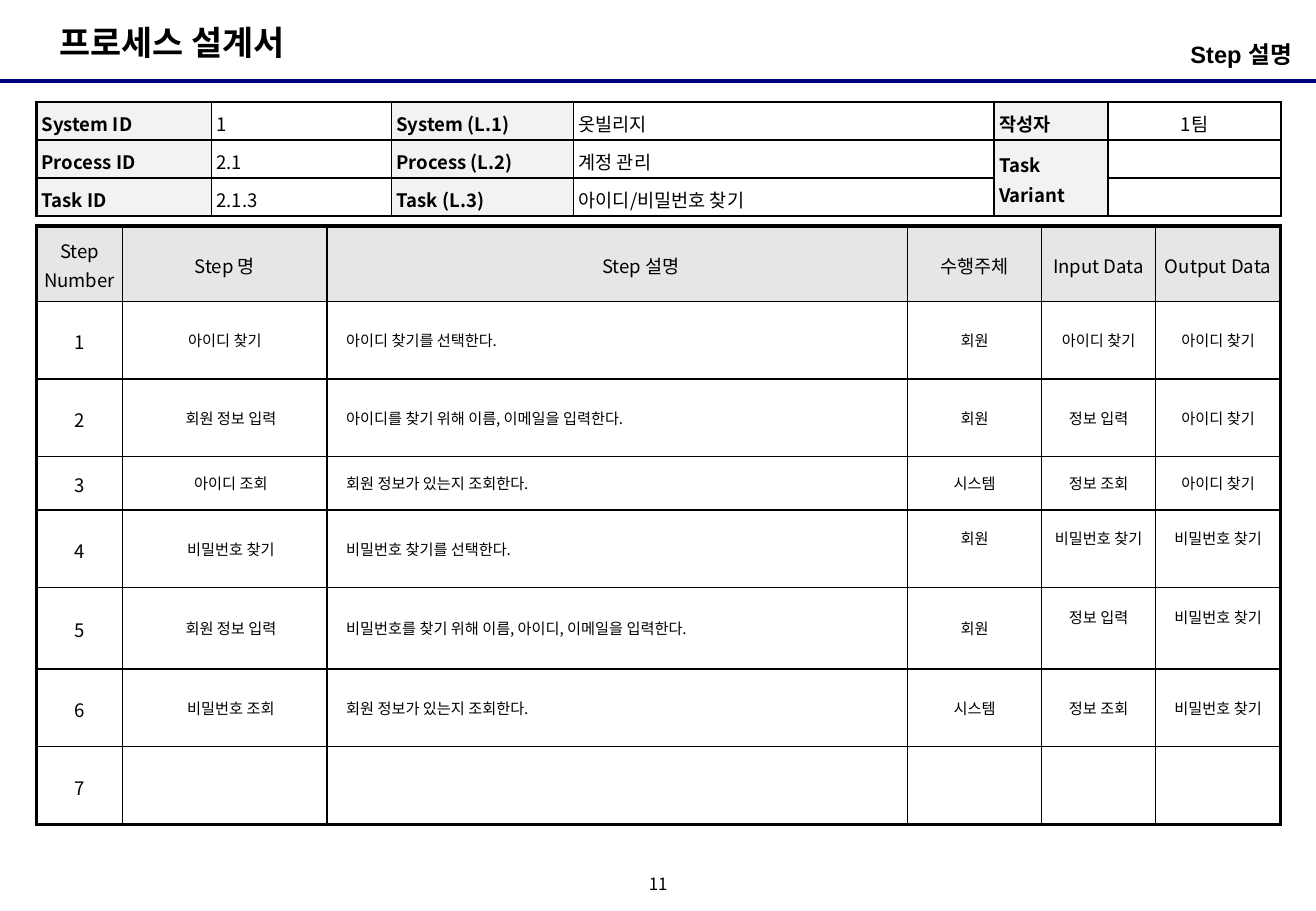
import pptx
import pptx.dml.color
import pptx.enum.shapes
import pptx.enum.text
import pptx.oxml
import pptx.oxml.ns
import pptx.util
from dataclasses import dataclass
from lxml import etree

ALIGN = pptx.enum.text.PP_ALIGN
ANCHOR = pptx.enum.text.MSO_ANCHOR
Pt = pptx.util.Pt


@dataclass(frozen=True)
class Theme:
    ink: str = "000000"
    rule: str = "000080"
    label_fill: str = "F2F2F2"
    head_fill: str = "E6E6E6"
    heading_font: str = "Arial"
    body_font: str = "Noto Sans CJK KR"
    title: float = 20
    subtitle: float = 14
    label: float = 11
    step: float = 9
    page: float = 10
    thin: float = 1
    medium: float = 1.5
    thick: float = 2.25


class Sheet:
    """Draws on one slide; positions are columns and rows of a 100 by 100 grid."""

    def __init__(self, prs, theme):
        self.theme = theme
        self.col = prs.slide_width / 100
        self.row = prs.slide_height / 100
        self.slide = prs.slides.add_slide(prs.slide_layouts[6])

    def x(self, cols):
        return round(cols * self.col)

    def y(self, rows):
        return round(rows * self.row)

    def format(self, tf, size, font=None, bold=False, align=ALIGN.LEFT,
               spacing=1.0, indent=0):
        for p in tf.paragraphs:
            p.alignment = align
            p.line_spacing = spacing
            if indent:
                p._p.get_or_add_pPr().set("marL", str(self.x(indent)))
            for r in p.runs:
                r.font.size = Pt(size)
                r.font.bold = bold
                r.font.name = font or self.theme.body_font
                r.font.color.rgb = pptx.dml.color.RGBColor.from_string(self.theme.ink)
                ea = etree.SubElement(r._r.get_or_add_rPr(), pptx.oxml.ns.qn("a:ea"))
                ea.set("typeface", self.theme.body_font)
            if not p.runs:
                p._p.get_or_add_endParaRPr().set("sz", str(round(size * 100)))

    def text(self, text, left, top, width, height, size, margins=(0, 0, 0, 0),
             anchor=ANCHOR.TOP, **style):
        sp = self.slide.shapes.add_textbox(
            self.x(left), self.y(top), self.x(width), self.y(height))
        tf = sp.text_frame
        tf.word_wrap = True
        tf.vertical_anchor = anchor
        (tf.margin_left, tf.margin_top,
         tf.margin_right, tf.margin_bottom) = map(Pt, margins)
        tf.text = text
        self.format(tf, size, **style)

    def rule(self, top):
        line = self.slide.shapes.add_connector(
            pptx.enum.shapes.MSO_CONNECTOR.STRAIGHT, 0, self.y(top), self.x(100), self.y(top))
        line.line.color.rgb = pptx.dml.color.RGBColor.from_string(self.theme.rule)
        line.line.width = Pt(self.theme.thick)
        etree.SubElement(line._element.spPr, pptx.oxml.ns.qn("a:effectLst"))

    def table(self, left, top, widths, heights, outer):
        """Add an empty table with thin inner lines and a frame of the given width."""
        frame = self.slide.shapes.add_table(
            len(heights), len(widths), self.x(left), self.y(top),
            self.x(sum(widths)), self.y(sum(heights)))
        table = frame.table
        table.first_row = table.horz_banding = False
        for column, width in zip(table.columns, widths):
            column.width = self.x(width)
        for row, height in zip(table.rows, heights):
            row.height = self.y(height)
        last_row, last_col = len(heights) - 1, len(widths) - 1
        for i in range(last_row + 1):
            for j in range(last_col + 1):
                edges = {"L": j == 0, "R": j == last_col, "T": i == 0, "B": i == last_row}
                for side, is_outer in edges.items():
                    self.border(table.cell(i, j), side, outer if is_outer else self.theme.thin)
        return table

    def border(self, cell, side, width):
        tcPr = cell._tc.get_or_add_tcPr()
        tag = pptx.oxml.ns.qn(f"a:ln{side}")
        ln = tcPr.find(tag)
        if ln is None:
            ln = etree.SubElement(tcPr, tag)
            fill = etree.SubElement(ln, pptx.oxml.ns.qn("a:solidFill"))
            etree.SubElement(fill, pptx.oxml.ns.qn("a:srgbClr")).set("val", self.theme.ink)
        ln.set("w", str(Pt(width)))

    def cell(self, cell, text, size, fill=None, margins=(3, 3, 3, 3),
             anchor=ANCHOR.MIDDLE, **style):
        (cell.margin_left, cell.margin_top,
         cell.margin_right, cell.margin_bottom) = map(Pt, margins)
        cell.vertical_anchor = anchor
        cell.text_frame.text = text
        self.format(cell.text_frame, size, **style)
        if fill:
            cell.fill.solid()
            cell.fill.fore_color.rgb = pptx.dml.color.RGBColor.from_string(fill)
        else:
            cell.fill.background()


TASK_INFO = [
    ["System ID", "1", "System (L.1)", "옷빌리지", "작성자", "1팀"],
    ["Process ID", "2.1", "Process (L.2)", "계정 관리", "Task Variant", ""],
    ["Task ID", "2.1.3", "Task (L.3)", "아이디/비밀번호 찾기", "", ""],
]
STEP_HEADS = ["Step Number", "Step 명", "Step 설명", "수행주체", "Input Data", "Output Data"]
STEPS = [
    ["아이디 찾기", "아이디 찾기를 선택한다.", "회원", "아이디 찾기", "아이디 찾기"],
    ["회원 정보 입력", "아이디를 찾기 위해 이름, 이메일을 입력한다.", "회원", "정보 입력", "아이디 찾기"],
    ["아이디 조회", "회원 정보가 있는지 조회한다.", "시스템", "정보 조회", "아이디 찾기"],
    ["비밀번호 찾기", "비밀번호 찾기를 선택한다.", "회원", "비밀번호 찾기", "비밀번호 찾기"],
    ["회원 정보 입력", "비밀번호를 찾기 위해 이름, 아이디, 이메일을 입력한다.", "회원", "정보 입력",
     "비밀번호 찾기"],
    ["비밀번호 조회", "회원 정보가 있는지 조회한다.", "시스템", "정보 조회", "비밀번호 찾기"],
    [""] * 5,
]
RAISED = {(4, 3), (4, 4), (4, 5), (5, 4), (5, 5)}  # cells whose text sits above the middle
TABLE_LEFT = 2.77


def add_task_info(sheet):
    theme = sheet.theme
    table = sheet.table(TABLE_LEFT, 11.2, [13.3, 13.67, 13.85, 31.95, 8.68, 13.11],
                        [4.17] * 3, theme.medium)
    for j in (4, 5):
        sheet.border(table.cell(0, j), "B", theme.medium)
        sheet.border(table.cell(1, j), "T", theme.medium)
    for i, row in enumerate(TASK_INFO):
        for j, text in enumerate(row):
            is_label = j % 2 == 0
            sheet.cell(table.cell(i, j), text, theme.label, bold=is_label, spacing=1.1,
                       fill=theme.label_fill if is_label else None,
                       anchor=ANCHOR.TOP if j < 4 else ANCHOR.MIDDLE,
                       align=ALIGN.CENTER if j == 5 else ALIGN.LEFT)
    table.cell(1, 4).merge(table.cell(2, 4))


def add_steps(sheet):
    theme = sheet.theme
    table = sheet.table(TABLE_LEFT, 24.8, [6.56, 15.51, 44.14, 10.16, 8.68, 9.5],
                        [8.27, 8.53, 8.53, 5.87, 8.53, 8.93, 8.53, 8.53], theme.thick)
    for j, text in enumerate(STEP_HEADS):
        sheet.cell(table.cell(0, j), text, theme.label, fill=theme.head_fill,
                   margins=(4.3, 3, 4.3, 3), align=ALIGN.CENTER, spacing=1.1,
                   indent=3.6 if j == 2 else 0)
    for i, step in enumerate(STEPS, 1):
        for j, text in enumerate([str(i), *step]):
            is_number = j == 0
            is_indented = j == 2 or (j == 1 and i > 1)
            sheet.cell(table.cell(i, j), text, theme.label if is_number else theme.step,
                       margins=(4.3, 3, 4.3, 16 if (i, j) in RAISED else 3),
                       align=ALIGN.LEFT if j == 2 else ALIGN.CENTER,
                       spacing=1.1 if is_number else 1.0,
                       indent=0.92 if is_indented else 0)


def main():
    prs = pptx.Presentation()
    prs.slide_width = pptx.util.Inches(10.83)
    prs.slide_height = pptx.util.Inches(7.5)
    theme = Theme()
    sheet = Sheet(prs, theme)
    sheet.rule(8.93)
    sheet.text("프로세스 설계서", 3.6, 1.73, 20.87, 5.87, theme.title,
               margins=(7.2, 3.6, 7.2, 3.6), font=theme.heading_font, bold=True)
    sheet.text("11", 48.48, 95.6, 3.05, 3.33, theme.page, anchor=ANCHOR.MIDDLE,
               align=ALIGN.CENTER, spacing=0.8)
    add_task_info(sheet)
    add_steps(sheet)
    sheet.text("Step 설명", 68.24, 3.73, 30.56, 5.2, theme.subtitle,
               margins=(0, 3.6, 5, 3.6), font=theme.heading_font, bold=True, align=ALIGN.RIGHT)
    prs.save("out.pptx")


if __name__ == "__main__":
    main()
